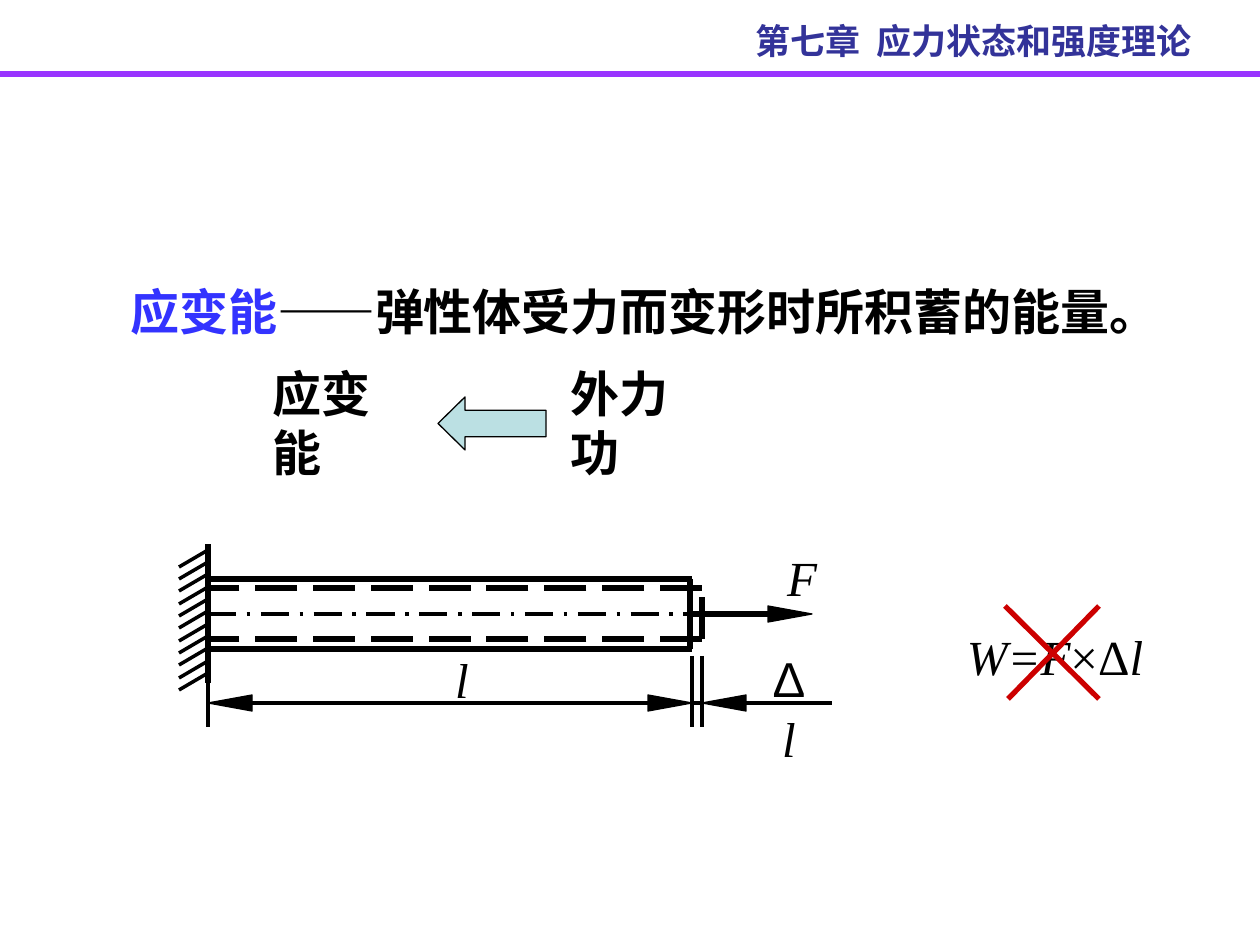
from lxml import etree
from pptx import Presentation
from pptx.dml.color import RGBColor
from pptx.enum.dml import MSO_LINE
from pptx.enum.shapes import MSO_CONNECTOR, MSO_SHAPE
from pptx.enum.text import MSO_ANCHOR, PP_ALIGN
from pptx.oxml.ns import qn
from pptx.util import Emu, Pt

STRAIGHT = MSO_CONNECTOR.STRAIGHT
LEFT_ARROW = MSO_SHAPE.LEFT_ARROW
DASH, CHAIN = MSO_LINE.LONG_DASH, MSO_LINE.LONG_DASH_DOT
MIDDLE, TOP = MSO_ANCHOR.MIDDLE, MSO_ANCHOR.TOP
LEFT, CENTER = PP_ALIGN.LEFT, PP_ALIGN.CENTER

SCALE = 914400 / 126
SERIF, SANS, HAN = "Times New Roman", "Arial", "Noto Sans CJK SC"
BLACK, BLUE, NAVY = "000000", "3333FF", "333399"
PURPLE, RED, AQUA = "9933FF", "CC0000", "BBE0E3"
THICK, HAIR = 3, 0


def px(n):
    return Emu(round(n * SCALE))


def rgb(code):
    return RGBColor.from_string(code)


def add_line(shapes, x1, y1, x2, y2, width=HAIR, color=BLACK, dash=None):
    line = shapes.add_connector(STRAIGHT, px(x1), px(y1), px(x2), px(y2))
    line.line.color.rgb = rgb(color)
    line.line.width = Pt(width)
    if dash:
        line.line.dash_style = dash
    etree.SubElement(line._element.spPr, qn("a:effectLst"))


def add_head(shapes, tip, y, way):
    """Solid arrowhead with its tip at (tip, y); way is 1 for right, -1 for left."""
    back = tip - 44 * way
    form = shapes.build_freeform(back, y - 8, scale=SCALE)
    form.add_line_segments([(back, y + 8), (tip, y)], close=True)
    head = form.convert_to_shape()
    head.shadow.inherit = False
    head.fill.solid()
    head.fill.fore_color.rgb = rgb(BLACK)
    head.line.color.rgb = rgb(BLACK)
    head.line.width = Pt(HAIR)


def add_box(shapes, box, pad=True, wrap=False, anchor=MIDDLE):
    frame = shapes.add_textbox(*map(px, box)).text_frame
    frame.word_wrap = wrap
    frame.vertical_anchor = anchor
    frame.margin_left = frame.margin_right = Pt(7.2 if pad else 0)
    frame.margin_top = frame.margin_bottom = Pt(3.6 if pad else 0)
    return frame.paragraphs[0]


def set_font(font, size=28, name=SERIF, color=BLACK, bold=False, italic=False):
    font.size, font.name = Pt(size), name
    font.bold, font.italic = bold, italic
    font.color.rgb = rgb(color)


def add_run(para, text, **style):
    run = para.add_run()
    run.text = text
    set_font(run.font, **style)


def add_han(shapes, box, text, **style):
    """Bold Chinese text in one style."""
    para = add_box(shapes, box)
    para.text = text
    set_font(para.font, bold=True, **style)


def add_math(shapes, box, parts, align=CENTER, **frame):
    """Symbols from (text, font name, italic) parts."""
    para = add_box(shapes, box, anchor=TOP, **frame)
    para.alignment = align
    para.line_spacing = Pt(34)
    for text, name, italic in parts:
        add_run(para, text, name=name, italic=italic)


def add_header(shapes):
    add_line(shapes, 0, 74, 1260, 74, THICK, PURPLE)
    add_han(shapes, (743, 13, 503, 55), "第七章  应力状态和强度理论",
            size=20, color=NAVY)


def add_meaning(shapes):
    para = add_box(shapes, (118, 275, 1079, 72), wrap=True)
    add_run(para, "应变能", name=HAN, color=BLUE, bold=True)
    add_run(para, "——", bold=True)
    add_run(para, "弹性体受力而变形时所积蓄的能量。", name=HAN, bold=True)


def add_source(shapes):
    add_han(shapes, (260, 386, 171, 72), "应变能", name=HAN)
    group = shapes.add_group_shape().shapes
    add_han(group, (558, 386, 171, 72), "外力功", name=HAN)
    arrow = group.add_shape(LEFT_ARROW, px(438), px(397), px(108), px(53))
    arrow.adjustments[0], arrow.adjustments[1] = 0.5, 0.51
    arrow.shadow.inherit = False
    arrow.fill.solid()
    arrow.fill.fore_color.rgb = rgb(AQUA)
    arrow.line.color.rgb = rgb(BLACK)
    arrow.line.width = Pt(0.75)


def add_bar(shapes):
    wall, end, new, axis = 208, 692, 702, 614
    # wall
    add_line(shapes, wall, 683, wall, 544, THICK)
    for i in range(11):
        y = 567 + 37 * i // 3
        add_line(shapes, wall - 29, y, wall, y - 17)
    # bar before and after loading
    for y in (579, 649):
        add_line(shapes, wall, y, end, y, THICK)
    add_line(shapes, end - 2, 579, end - 2, 649, THICK)
    for y in (588, 639):
        add_line(shapes, new, y, wall, y, THICK, dash=DASH)
    add_line(shapes, new, 639, new, 588, THICK, dash=DASH)
    # force
    add_line(shapes, wall, axis, 748, axis, dash=CHAIN)
    add_line(shapes, 768, axis, end, axis, THICK)
    add_head(shapes, 812, axis, 1)
    add_math(shapes, (787, 547, 30, 59), [("F", SERIF, True)], LEFT, pad=False)
    # lengths
    for x in (wall, end, new):
        add_line(shapes, x, 656, x, 727)
    for x1, x2 in ((wall + 44, end - 40), (end, new), (new + 12, 832)):
        add_line(shapes, x1, 703, x2, 703)
    for tip, way in ((wall, -1), (end, 1), (new, -1)):
        add_head(shapes, tip, 703, way)
    add_math(shapes, (455, 649, 14, 59), [("l", SERIF, True)], pad=False)
    add_math(shapes, (767, 648, 44, 59),
             [("Δ", SANS, False), ("l", SERIF, True)], pad=False, wrap=True)


def add_work(shapes):
    add_math(shapes, (954, 620, 202, 72),
             [("W=F", SERIF, True), ("×Δ", SERIF, False), ("l", SERIF, True)])
    cross = shapes.add_group_shape().shapes
    add_line(cross, 1005, 606, 1099, 699, THICK, RED)
    add_line(cross, 1099, 606, 1008, 699, THICK, RED)


def main():
    deck = Presentation()
    deck.slide_width, deck.slide_height = px(1260), px(945)
    shapes = deck.slides.add_slide(deck.slide_layouts[6]).shapes
    add_header(shapes)
    add_meaning(shapes)
    add_bar(shapes.add_group_shape().shapes)
    add_work(shapes)
    add_source(shapes)
    deck.save("out.pptx")


if __name__ == "__main__":
    main()
